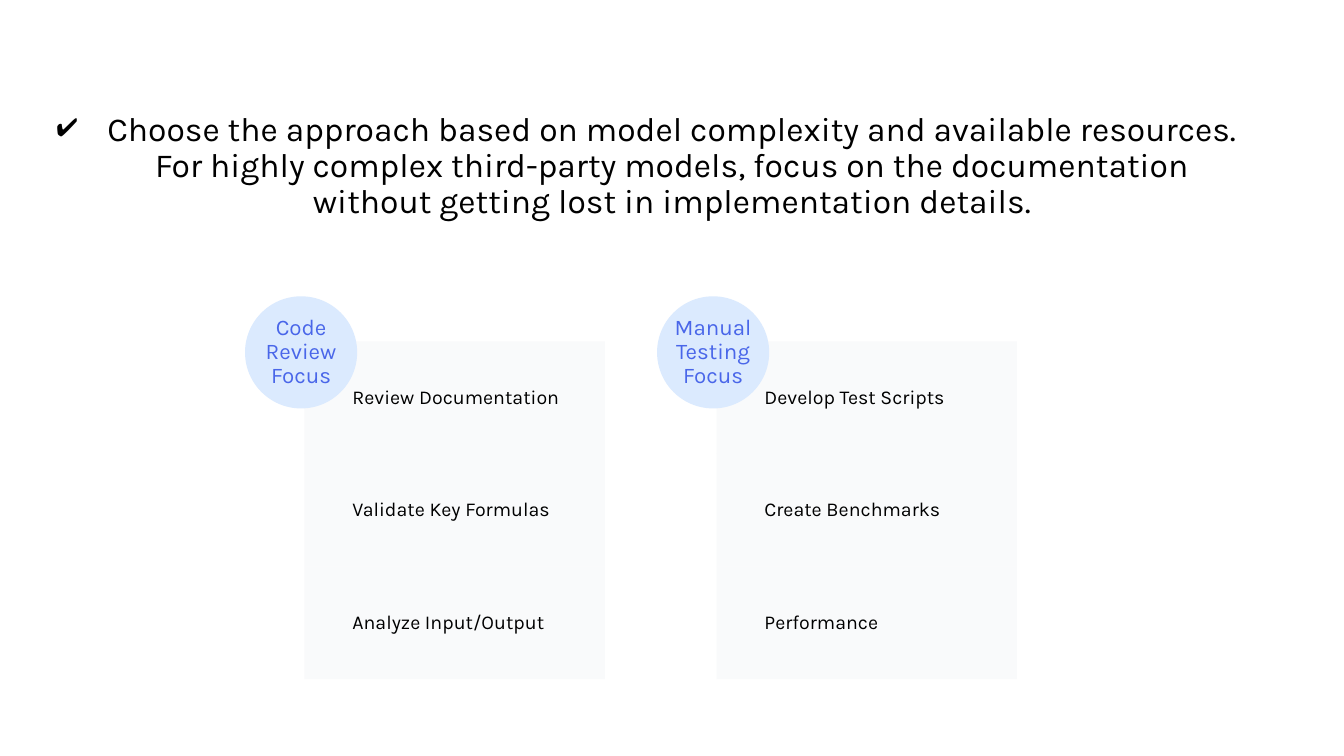
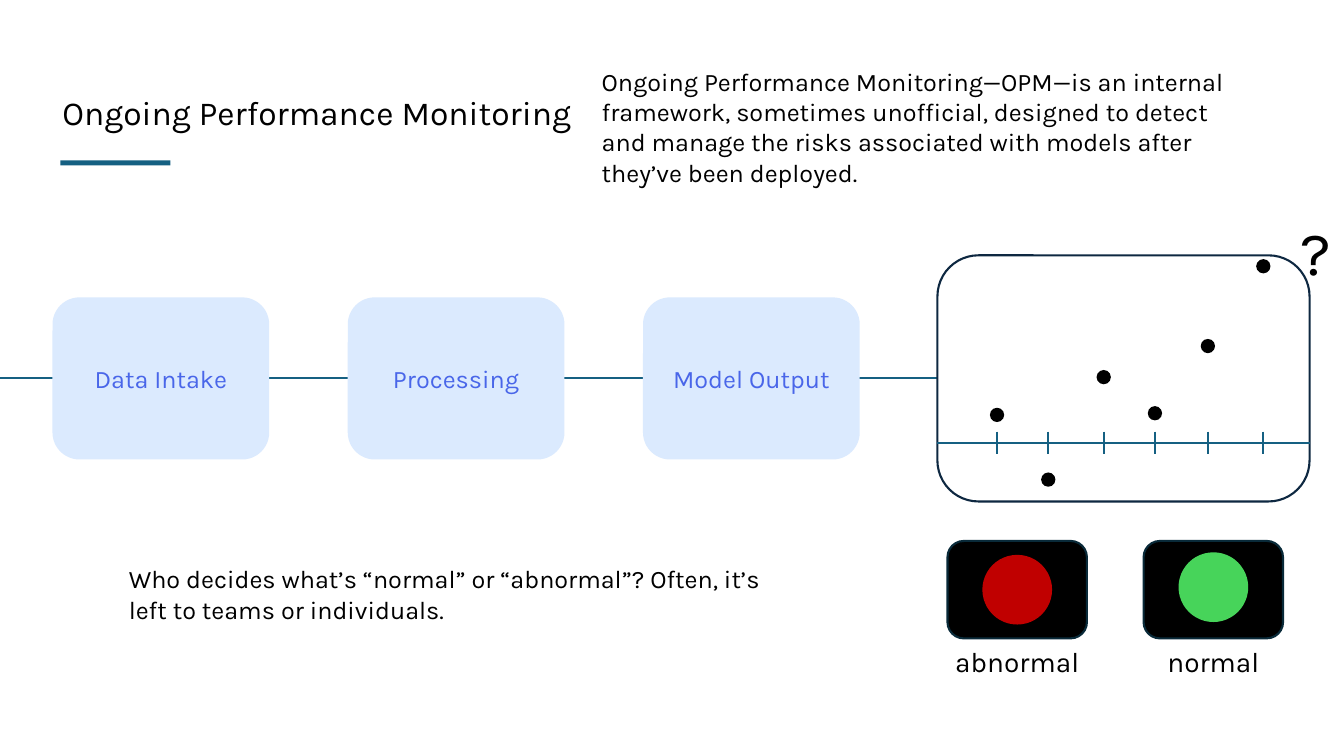
from dataclasses import dataclass

from lxml.etree import SubElement
from pptx import Presentation
from pptx.dml.color import RGBColor
from pptx.enum.shapes import MSO_AUTO_SHAPE_TYPE as Shape, MSO_CONNECTOR as Connector
from pptx.enum.text import MSO_VERTICAL_ANCHOR as Anchor, PP_PARAGRAPH_ALIGNMENT as Align
from pptx.oxml.ns import qn
from pptx.util import Inches, Pt

COLUMNS, ROWS = 160, 90
CELL = Inches(1) // 12


@dataclass(frozen=True)
class Theme:
    font: str = "Karla"
    ink: str = "000000"
    accent: str = "156082"
    label: str = "4966E9"
    tint: str = "DBEAFE"
    panel: str = "F9FAFB"
    frame: str = "0E2841"
    housing: str = "092A39"
    red: str = "C00000"
    green: str = "47D45A"
    item: int = 14
    badge: int = 16
    body: int = 18
    caption: int = 20
    title: int = 24
    mark: int = 44
    stroke: float = 1.5
    tight: float = 0.9


THEME = Theme()
CENTRED = {"alignment": Align.CENTER}
TIGHT = {"line_spacing": THEME.tight}
NO_MARGINS = dict.fromkeys(("margin_left", "margin_top", "margin_right", "margin_bottom"), 0)


def apply(target, values):
    for name, value in values.items():
        setattr(target, name, value)


def cells(*counts):
    return [round(count * CELL) for count in counts]


def write(box, text, size, color=THEME.ink, anchor=Anchor.MIDDLE, paragraph=None, margins=None):
    frame = box.text_frame
    apply(frame, {"word_wrap": True, "vertical_anchor": anchor} | (margins or {}))
    para = frame.paragraphs[0]
    apply(para, {"alignment": Align.LEFT} | (paragraph or {}))
    span = para.add_run()
    span.text = text
    apply(span.font, {"name": THEME.font, "size": Pt(size)})
    span.font.color.rgb = RGBColor.from_string(color)


def add_text(page, area, text, size, **style):
    write(page.shapes.add_textbox(*cells(*area)), text, size, **style)


def add_title(page, left, top, text, **paragraph):
    add_text(page, (left, top, 138, 17.4), text, THEME.title, paragraph=TIGHT | paragraph)


def add_body(page, area, text):
    add_text(page, area, text, THEME.body, anchor=Anchor.TOP)


def add_box(page, kind, area, fill=None, outline=None):
    box = page.shapes.add_shape(kind, *cells(*area))
    box.shadow.inherit = False
    if fill:
        box.fill.solid()
        box.fill.fore_color.rgb = RGBColor.from_string(fill)
    else:
        box.fill.background()
    if outline:
        box.line.color.rgb = RGBColor.from_string(outline)
        box.line.width = Pt(THEME.stroke)
    else:
        box.line.fill.background()
    return box


def add_line(page, *ends):
    line = page.shapes.add_connector(Connector.STRAIGHT, *cells(*ends))
    line.line.color.rgb = RGBColor.from_string(THEME.accent)
    line.line.width = Pt(THEME.stroke)
    SubElement(line._element.spPr, qn("a:effectLst"))


def add_circle(page, x, y, diameter, fill):
    area = (x - diameter / 2, y - diameter / 2, diameter, diameter)
    return add_box(page, Shape.OVAL, area, fill)


def add_focus_list(page, left, badge, items):
    top, width, height = 40.65, 35.75, 13.4
    for row, item in enumerate(items):
        panel = add_box(page, Shape.RECTANGLE, (left, top + row * height, width, height), THEME.panel)
        write(panel, item, THEME.item, paragraph=TIGHT, margins={"margin_left": cells(5.7)[0]})
    circle = add_circle(page, left - 0.4, top + 1.3, 13.35, THEME.tint)
    write(circle, badge, THEME.badge, THEME.label, paragraph=CENTRED | TIGHT, margins=NO_MARGINS)


def add_process(page, steps):
    add_line(page, 0, 45, 111.6, 45)
    for column, step in enumerate(steps):
        area = (6.25 + column * 35.15, 35.4, 25.8, 19.3)
        box = add_box(page, Shape.ROUNDED_RECTANGLE, area, THEME.tint)
        write(box, step, THEME.body, THEME.label, paragraph=CENTRED)


def add_monitor(page, points):
    left, width, axis = 111.6, 44.3, 52.7
    add_box(page, Shape.ROUNDED_RECTANGLE, (left, 30.4, width, 29.3), outline=THEME.frame)
    add_line(page, left, axis, left + width, axis)
    for x, y in points:
        add_line(page, x, axis - 1.3, x, axis + 1.3)
        add_circle(page, x, y, 1.7, THEME.ink)


def add_light(page, left, bulb_y, color, caption):
    width = 16.6
    area = (left, 64.4, width, 11.6)
    add_box(page, Shape.ROUNDED_RECTANGLE, area, THEME.ink, THEME.housing)
    add_circle(page, left + width / 2, bulb_y, 8.3, color)
    add_text(page, (left - 1.2, 74, width + 2.4, 10), caption, THEME.caption, paragraph=CENTRED | TIGHT)


def build_approach(page):
    add_title(
        page, 11, 11.15,
        "Choose the approach based on model complexity and available resources. "
        "For highly complex third-party models, focus on the documentation "
        "without getting lost in implementation details.",
        **CENTRED,
    )
    add_body(page, (5.5, 12.7, 5, 4.8), "✔️")
    focus_lists = {
        "Code Review Focus": ("Review Documentation", "Validate Key Formulas", "Analyze Input/Output"),
        "Manual Testing Focus": ("Develop Test Scripts", "Create Benchmarks", "Performance"),
    }
    for column, (badge, items) in enumerate(focus_lists.items()):
        add_focus_list(page, 36.25 + column * 49.05, badge, items)


def build_monitoring(page):
    add_title(page, 6.25, 4.9, "Ongoing Performance Monitoring")
    add_box(page, Shape.RECTANGLE, (7.2, 19.1, 13.1, 0.6), THEME.accent)
    add_body(
        page, (70.45, 7.3, 80, 15.7),
        "Ongoing Performance Monitoring—OPM—is an internal framework, sometimes unofficial, "
        "designed to detect and manage the risks associated with models after they’ve been deployed.",
    )
    add_process(page, ("Data Intake", "Processing", "Model Output"))
    add_monitor(page, (
        (118.7, 49.4), (124.8, 57.1), (131.4, 44.9),
        (137.5, 49.2), (143.8, 41.2), (150.4, 31.7),
    ))
    add_text(page, (153.7, 21.7, 6.3, 17.4), "?", THEME.mark, paragraph=TIGHT)
    add_body(
        page, (14.15, 66.5, 82.7, 8.5),
        "Who decides what’s “normal” or “abnormal”? Often, it’s left to teams or individuals.",
    )
    lights = ((70.2, THEME.red, "abnormal"), (69.9, THEME.green, "normal"))
    for column, light in enumerate(lights):
        add_light(page, 112.8 + column * 23.35, *light)


def main():
    deck = Presentation()
    apply(deck, {"slide_width": COLUMNS * CELL, "slide_height": ROWS * CELL})
    for build in (build_approach, build_monitoring):
        build(deck.slides.add_slide(deck.slide_layouts[6]))
    deck.save("out.pptx")


if __name__ == "__main__":
    main()
